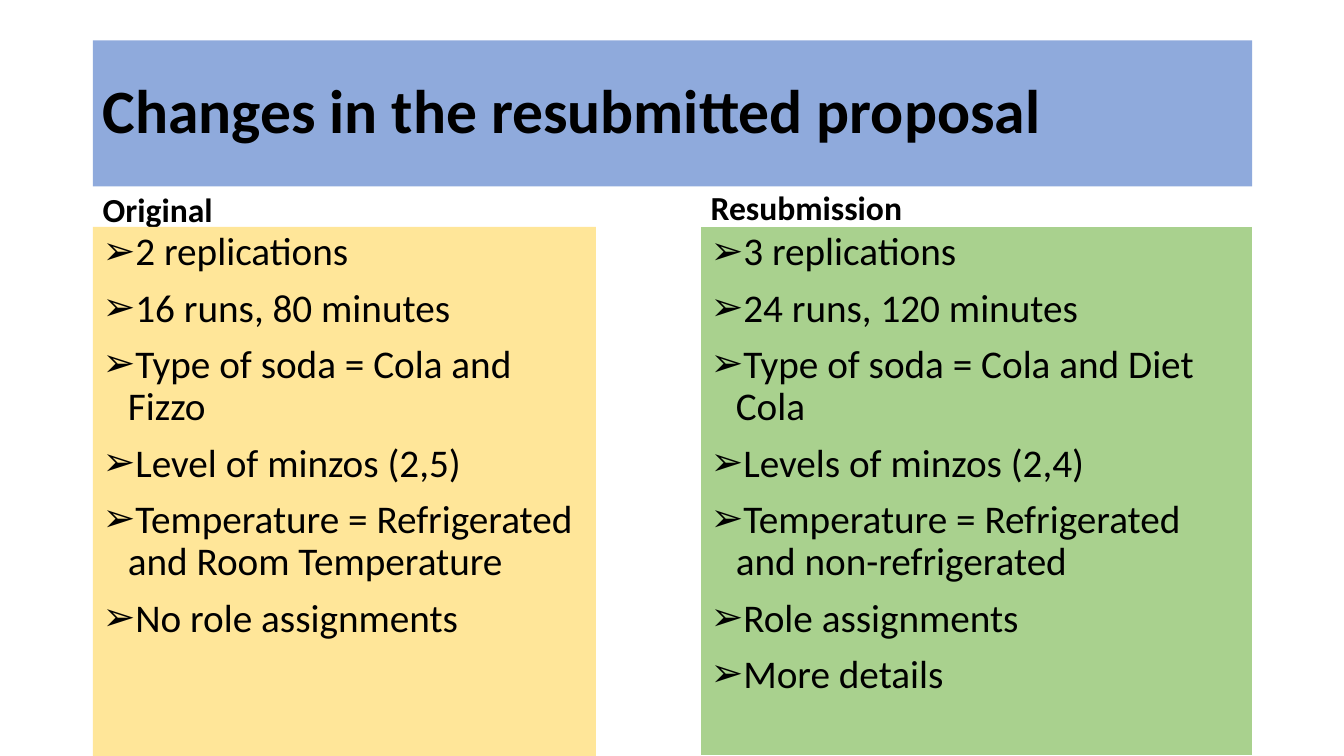
from lxml import etree
from pptx import Presentation
from pptx.dml.color import RGBColor as RGB
from pptx.enum.shapes import MSO_SHAPE as SHAPE
from pptx.enum.text import MSO_ANCHOR as ANCHOR, MSO_AUTO_SIZE as FIT, PP_ALIGN as ALIGN
from pptx.oxml.ns import qn
from pptx.util import Inches, Pt

COLORS = {"title": "8FAADC", "first": "FFE699", "second": "A9D18E",
          "text": "000000", "edge": "FFFFFF"}
FORMATS = {
    "title": {"size": Pt(44), "bold": True},
    "head": {"size": Pt(24), "bold": True},
    "list": {"size": Pt(28), "bold": False},
}
TOP, HEIGHT = 2.25, 5.25
COLUMNS = [
    {"head": "Original", "head_box": (0.92, 1.88, 4.72, 0.44),
     "list_box": (0.92, TOP, 4.99, HEIGHT), "fill": "first", "edge": None,
     "items": ["2 replications", "16 runs, 80 minutes",
               "Type of soda = Cola and Fizzo", "Level of minzos (2,5)",
               "Temperature = Refrigerated and Room Temperature",
               "No role assignments"]},
    {"head": "Resubmission", "head_box": (6.95, 1.86, 3.77, 0.44),
     "list_box": (6.95, TOP, 5.47, HEIGHT), "fill": "second", "edge": "edge",
     "items": ["3 replications", "24 runs, 120 minutes",
               "Type of soda = Cola and Diet Cola", "Levels of minzos (2,4)",
               "Temperature = Refrigerated and non-refrigerated",
               "Role assignments", "More details"]},
]


def paint(target, color):
    target.solid()
    target.fore_color.rgb = RGB.from_string(COLORS[color])


def write(shape, lines, style, anchor, spacing, before=0):
    frame = shape.text_frame
    frame.text = "\n".join(lines)
    frame.word_wrap = True
    frame.auto_size = FIT.NONE
    frame.vertical_anchor = anchor
    for para in frame.paragraphs:
        para.alignment = ALIGN.LEFT
        para.line_spacing = spacing
        para.space_before = Pt(before)
        for run in para.runs:
            run.font.name = "Calibri"
            run.font.color.rgb = RGB.from_string(COLORS["text"])
            for name, value in FORMATS[style].items():
                setattr(run.font, name, value)


def add_bullets(frame):
    indent = Inches(0.25)
    for para in frame.paragraphs:
        props = para._p.get_or_add_pPr()
        props.set("marL", str(indent))
        props.set("indent", str(-indent))
        etree.SubElement(props, qn("a:buFont")).set("typeface", "Arial")
        etree.SubElement(props, qn("a:buChar")).set("char", "➢")


def add_title(slide, box):
    title = slide.shapes.title
    title.left, title.top, title.width, title.height = map(Inches, box)
    paint(title.fill, "title")
    write(title, ["Changes in the resubmitted proposal"], "title", ANCHOR.MIDDLE, 0.9)


def add_column(slide, column):
    """Place a heading and the filled bullet panel below it."""
    head = slide.shapes.add_textbox(*map(Inches, column["head_box"]))
    write(head, [column["head"]], "head", ANCHOR.BOTTOM, 0.8, 10)

    panel = slide.shapes.add_shape(SHAPE.RECTANGLE, *map(Inches, column["list_box"]))
    panel.shadow.inherit = False
    paint(panel.fill, column["fill"])
    if column["edge"]:
        paint(panel.line.fill, column["edge"])
        panel.line.width = Pt(0.75)
    else:
        panel.line.fill.background()
    write(panel, column["items"], "list", ANCHOR.TOP, 0.9, 10)
    add_bullets(panel.text_frame)


def main():
    deck = Presentation()
    deck.slide_width, deck.slide_height = Inches(13.33), Inches(7.5)
    slide = deck.slides.add_slide(deck.slide_layouts[5])
    add_title(slide, (0.92, 0.4, 11.5, 1.45))
    for column in COLUMNS:
        add_column(slide, column)
    deck.save("out.pptx")


if __name__ == "__main__":
    main()
